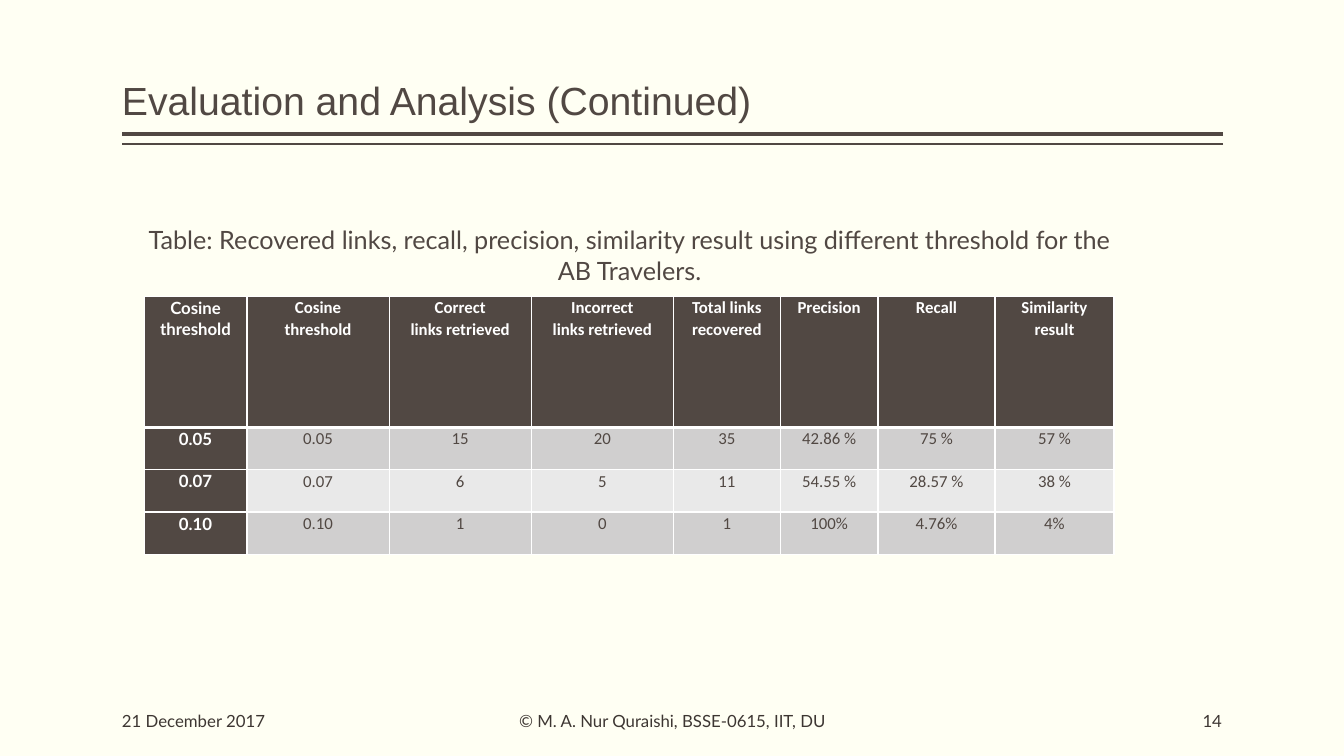
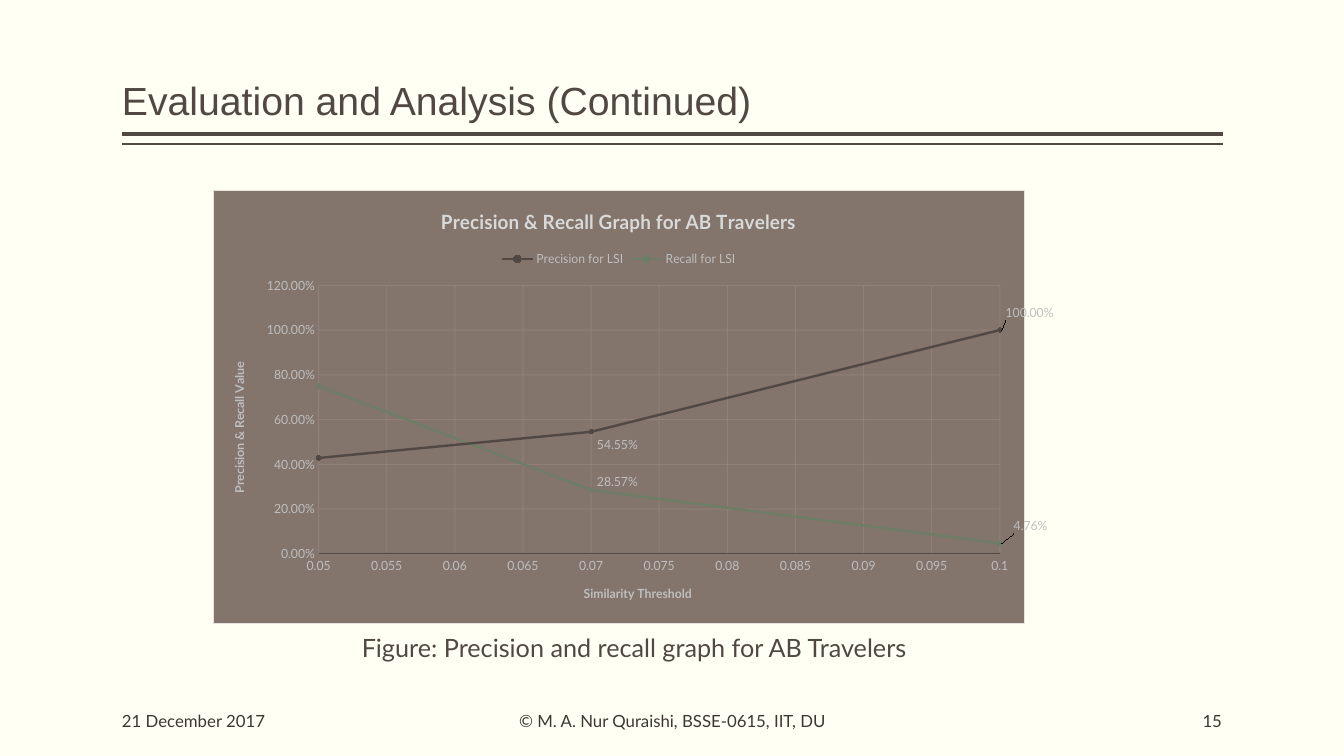
import pptx
import pptx.chart.data
import pptx.dml.color
import pptx.enum.chart
import pptx.enum.shapes
import pptx.enum.text
import pptx.oxml
import pptx.oxml.ns
import pptx.util

Inches = pptx.util.Inches
Pt = pptx.util.Pt
RGBColor = pptx.dml.color.RGBColor
Align = pptx.enum.text.PP_ALIGN
Anchor = pptx.enum.text.MSO_ANCHOR

CREAM = RGBColor(0xFF, 0xFF, 0xF3)
BROWN = RGBColor(0x51, 0x48, 0x43)
FOOTER = RGBColor(0x3D, 0x36, 0x32)
WHITE = RGBColor(0xFF, 0xFF, 0xFF)
BAND_DARK = RGBColor(0xD0, 0xCF, 0xCF)
BAND_LIGHT = RGBColor(0xE9, 0xE9, 0xE9)
CHART_FILL = RGBColor(0x83, 0x74, 0x6C)
CHART_BORDER = RGBColor(0xE6, 0xE3, 0xE1)
GRID = RGBColor(0x94, 0x86, 0x7E)
LABEL = RGBColor(0xBF, 0xBF, 0xBF)
CHART_TITLE = RGBColor(0xD9, 0xD9, 0xD9)
GREEN = RGBColor(0x6D, 0x7D, 0x66)

NAMESPACES = pptx.oxml.ns.nsdecls("a", "c")
LEFT, RIGHT = 1.21, 12.13


def write_text(frame, lines, size, color, font="Lato", bold=False, align=Align.LEFT, spacing=None):
    frame.word_wrap = True
    for index, line in enumerate(lines):
        para = frame.paragraphs[0] if index == 0 else frame.add_paragraph()
        para.alignment = align
        para.line_spacing = spacing
        span = para.add_run()
        span.text = line
        span.font.color.rgb = color
        for name, value in {"name": font, "size": Pt(size), "bold": bold}.items():
            setattr(span.font, name, value)


def set_layout(parent, index, **values):
    for old in parent.findall(pptx.oxml.ns.qn("c:layout")):
        parent.remove(old)
    parts = "".join(f'<c:{name} val="{value}"/>' for name, value in values.items())
    parent.insert(index, pptx.oxml.parse_xml(
        f"<c:layout {NAMESPACES}><c:manualLayout>{parts}</c:manualLayout></c:layout>"))


deck = pptx.Presentation()
deck.slide_width = Inches(13.33)
deck.slide_height = Inches(7.5)

pages = []
for number, caption, caption_place in [
    ("14", "Table: Recovered links, recall, precision, similarity result using different "
           "threshold for the AB Travelers.", (1.21, 2.18, 10.07, 0.71)),
    ("15", "Figure: Precision and recall graph for AB Travelers", (2.24, 6.22, 8.1, 0.4)),
]:
    page = deck.slides.add_slide(deck.slide_layouts[6])
    page.background.fill.solid()
    page.background.fill.fore_color.rgb = CREAM
    pages.append(page)

    for top, weight in [(1.33, 3), (1.43, 1)]:
        rule = page.shapes.add_connector(
            pptx.enum.shapes.MSO_CONNECTOR.STRAIGHT,
            Inches(RIGHT), Inches(top), Inches(LEFT), Inches(top))
        rule.line.color.rgb = BROWN
        rule.line.width = Pt(weight)
        rule.element.spPr.append(pptx.oxml.parse_xml(f"<a:effectLst {NAMESPACES}/>"))

    heading = {"size": 28, "color": BROWN, "font": "Arial", "spacing": 0.9}
    footer = {"size": 12, "color": FOOTER}
    for text, place, anchor, style in [
        ("Evaluation and Analysis (Continued)", (LEFT, 0.08, 10.92, 1.2), Anchor.BOTTOM, heading),
        ("21 December 2017", (LEFT, 6.95, 2, 0.4), Anchor.MIDDLE, footer),
        ("© M. A. Nur Quraishi, BSSE-0615, IIT, DU", (3.21, 6.95, 6.92, 0.4), Anchor.MIDDLE,
         {**footer, "align": Align.CENTER}),
        (number, (10.12, 6.95, 2, 0.4), Anchor.MIDDLE, {**footer, "align": Align.RIGHT}),
    ]:
        box = page.shapes.add_textbox(*map(Inches, place))
        box.text_frame.margin_left = box.text_frame.margin_right = 0
        box.text_frame.vertical_anchor = anchor
        write_text(box.text_frame, [text], **style)

    box = page.shapes.add_textbox(*map(Inches, caption_place))
    write_text(box.text_frame, [caption], 18, BROWN, align=Align.CENTER)
    box.text_frame.auto_size = pptx.enum.text.MSO_AUTO_SIZE.SHAPE_TO_FIT_TEXT

table_page, chart_page = pages

rows = [
    ["Cosine\nthreshold", "Cosine\nthreshold", "Correct\nlinks retrieved",
     "Incorrect\nlinks retrieved", "Total links\nrecovered", "Precision", "Recall",
     "Similarity result"],
    ["0.05", "0.05", "15", "20", "35", "42.86 %", "75 %", "57 %"],
    ["0.07", "0.07", "6", "5", "11", "54.55 %", "28.57 %", "38 %"],
    ["0.10", "0.10", "1", "0", "1", "100%", "4.76%", "4%"],
]
widths = [1.02, 1.41, 1.41, 1.41, 1.06, 0.97, 1.16, 1.18]
heights = [1.3, 0.42, 0.42, 0.42]
table = table_page.shapes.add_table(
    len(rows), len(widths), Inches(1.43), Inches(2.94),
    Inches(sum(widths)), Inches(sum(heights))).table
table.horz_banding = False
for column, width in zip(table.columns, widths):
    column.width = Inches(width)
for row, height in zip(table.rows, heights):
    row.height = Inches(height)

for row_index, row in enumerate(rows):
    for column_index, text in enumerate(row):
        cell = table.cell(row_index, column_index)
        is_header = row_index == 0 or column_index == 0
        for name, value in {"margin_left": 0.07, "margin_right": 0.07,
                            "margin_top": 0, "margin_bottom": 0}.items():
            setattr(cell, name, Inches(value))
        write_text(cell.text_frame, text.split("\n"), 12, WHITE if is_header else BROWN,
                   font="Lato" if column_index == 0 else "Calibri", bold=is_header,
                   align=Align.CENTER, spacing=1.07)
        properties = cell._tc.get_or_add_tcPr()
        for side in "LRTB":
            thick = (row_index, side) in [(0, "B"), (1, "T")]
            properties.append(pptx.oxml.parse_xml(
                f'<a:ln{side} {NAMESPACES} w="{Pt(3 if thick else 1)}"><a:solidFill>'
                f'<a:srgbClr val="{WHITE}"/></a:solidFill></a:ln{side}>'))
        cell.fill.solid()
        band = BAND_DARK if row_index % 2 else BAND_LIGHT
        cell.fill.fore_color.rgb = BROWN if is_header else band

thresholds = [0.05, 0.07, 0.1]
data = pptx.chart.data.XyChartData(number_format="0.00%")
for name, values in [("Precision for LSI", [0.4286, 0.5455, 1]),
                     ("Recall for LSI", [0.75, 0.2857, 0.0476])]:
    series = data.add_series(name)
    for threshold, value in zip(thresholds, values):
        series.add_data_point(threshold, value)
chart = chart_page.shapes.add_chart(
    pptx.enum.chart.XL_CHART_TYPE.XY_SCATTER_SMOOTH,
    Inches(2.11), Inches(1.88), Inches(8.34), Inches(4.31), data).chart
chart.element.find(pptx.oxml.ns.qn("c:chart")).addnext(pptx.oxml.parse_xml(
    f'<c:spPr {NAMESPACES}><a:solidFill><a:srgbClr val="{CHART_FILL}"/></a:solidFill>'
    f'<a:ln w="{Pt(0.75)}"><a:solidFill><a:srgbClr val="{CHART_BORDER}"/></a:solidFill></a:ln>'
    "</c:spPr>"))
chart.font.name = "Lato"
chart.font.size = Pt(9)
chart.font.color.rgb = LABEL
write_text(chart.chart_title.text_frame, ["Precision & Recall Graph for AB Travelers"],
           14, CHART_TITLE, bold=True)
chart.has_legend = True
chart.legend.position = pptx.enum.chart.XL_LEGEND_POSITION.TOP
chart.legend.include_in_layout = False

for axis, title, low, high, unit, number_format in [
    (chart.category_axis, "Similarity Threshold", 0.05, 0.1, 0.005, "General"),
    (chart.value_axis, "Precision & Recall Value", 0, 1.2, 0.2, "0.00%"),
]:
    write_text(axis.axis_title.text_frame, [title], 9, LABEL, bold=True)
    for name, value in {"minimum_scale": low, "maximum_scale": high, "major_unit": unit,
                        "has_major_gridlines": True,
                        "major_tick_mark": pptx.enum.chart.XL_TICK_MARK.NONE}.items():
        setattr(axis, name, value)
    axis.tick_labels.number_format = number_format
    axis.tick_labels.number_format_is_linked = False
    axis.major_gridlines.format.line.color.rgb = GRID
    axis.major_gridlines.format.line.width = Pt(0.75)
chart.category_axis.format.line.color.rgb = BROWN
chart.category_axis.format.line.width = Pt(0.75)
chart.value_axis.format.line.fill.background()
for color in chart.element.xpath(".//c:majorGridlines//a:srgbClr"):
    color.append(pptx.oxml.parse_xml(f'<a:alpha {NAMESPACES} val="75000"/>'))

plot = chart.plots[0]
plot.vary_by_categories = False
for series, color in zip(plot.series, [BROWN, GREEN]):
    series.format.line.color.rgb = color
    series.format.line.width = Pt(1.75)
    series.marker.style = pptx.enum.chart.XL_MARKER_STYLE.CIRCLE
    series.marker.size = 3
    series.marker.format.fill.solid()
    series.marker.format.fill.fore_color.rgb = color
    series.marker.format.line.color.rgb = color
    for index in (1, 2):
        label = series.points[index].data_label
        label.font.size = Pt(9)
        label.font.color.rgb = LABEL
        label.position = pptx.enum.chart.XL_LABEL_POSITION.RIGHT
for flag in chart.element.xpath(".//c:dLbls/c:showVal"):
    flag.set("val", "0")
label_shifts = [(0, 0.03), (0, -0.04), (0, -0.02), (0.01, -0.04)]
for label, (across, down) in zip(chart.element.xpath(".//c:dLbl"), label_shifts):
    set_layout(label, 1, x=across, y=down)
set_layout(chart.element.xpath(".//c:plotArea")[0], 0, layoutTarget="inner",
           xMode="edge", yMode="edge", x=0.13, y=0.22, w=0.84, h=0.62)

deck.save("out.pptx")
